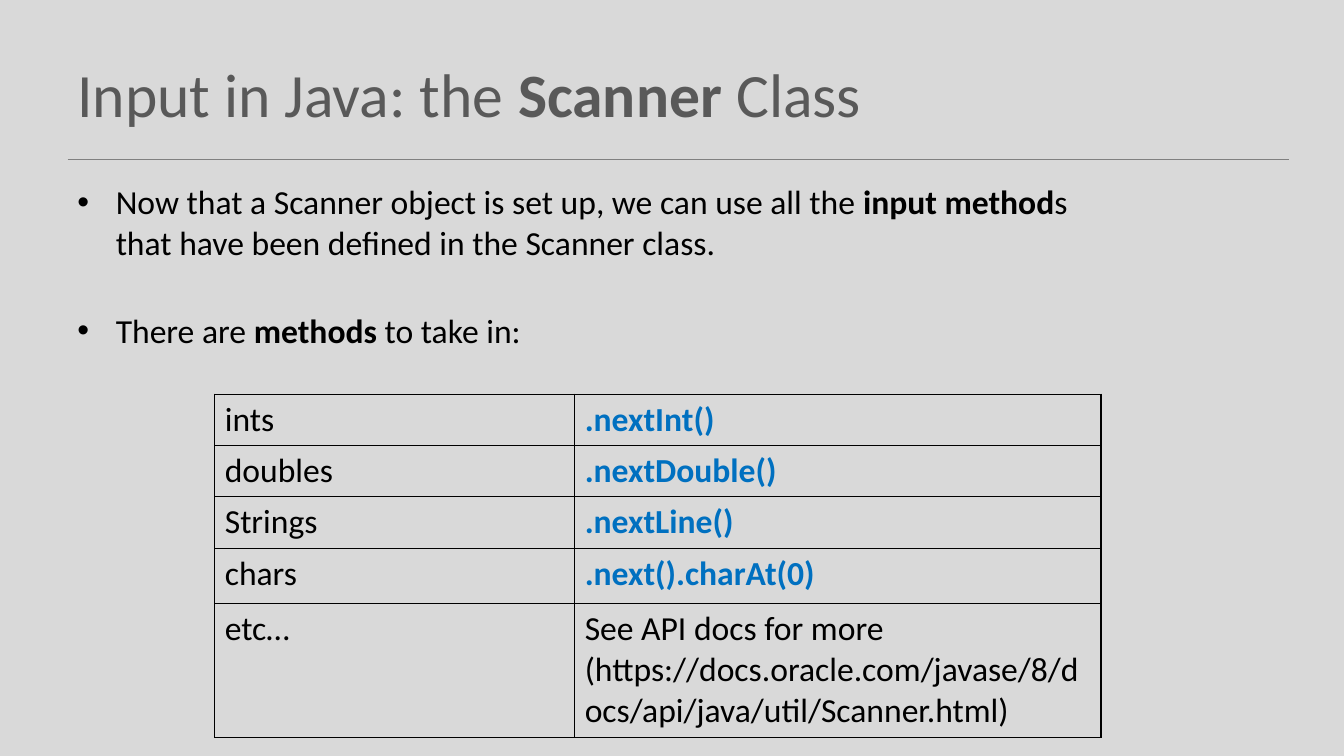
from dataclasses import dataclass

from lxml import etree
from pptx import Presentation
from pptx.dml.color import RGBColor
from pptx.enum.shapes import MSO_CONNECTOR
from pptx.enum.text import MSO_ANCHOR
from pptx.oxml.ns import qn
from pptx.util import Inches, Pt

STRAIGHT = MSO_CONNECTOR.STRAIGHT
TOP, MIDDLE = MSO_ANCHOR.TOP, MSO_ANCHOR.MIDDLE

# Each run is (text, bold)
TITLE = [("Input in Java: the ", False), ("Scanner ", True), ("Class", False)]
BULLETS = [
    [("Now that a Scanner object is set up, we can use all the ", False),
     ("input method", True),
     ("s \vthat have been defined in the Scanner class.", False)],
    [("There are ", False), ("methods", True), (" to take in:", False)],
]
METHODS = [
    ("ints", ".nextInt()"),
    ("doubles", ".nextDouble()"),
    ("Strings", ".nextLine()"),
    ("chars", ".next().charAt(0)"),
]
MORE = ("etc…", "See API docs for more "
        "(https://docs.oracle.com/javase/8/docs/api/java/util/Scanner.html)")


@dataclass(frozen=True)
class Theme:
    font: str = "Calibri"
    background: str = "D9D9D9"
    rule: str = "808080"
    title: str = "595959"
    text: str = "000000"
    method: str = "0070C0"
    title_size: int = 44
    body_size: int = 24
    line_width: int = 1


THEME = Theme()

SLIDE_WIDTH, SLIDE_HEIGHT = 13.33, 7.5
MARGIN = 0.67
RULE_END, RULE_TOP = 12.78, 1.58
TITLE_BOX = (MARGIN, 0.3, 12, 1.25)
BODY_BOX = (MARGIN, 1.75, 10.5, 2)
BULLET_INDENT = 0.38
BULLET_GAP = 34
TABLE_LEFT, TABLE_TOP = 2.13, 3.91
COLUMN_WIDTHS = (3.57, 5.22)
ROW_HEIGHTS = (0.51, 0.51, 0.51, 0.55, 1.33)


def write_runs(paragraph, runs, size=THEME.body_size, color=THEME.text):
    for text, bold in runs:
        for index, line in enumerate(text.split("\v")):
            if index:
                paragraph.add_line_break()
            run = paragraph.add_run()
            run.text = line
            run.font.name = THEME.font
            run.font.size = Pt(size)
            run.font.bold = bold
            run.font.color.rgb = RGBColor.from_string(color)


def add_bullet(paragraph):
    properties = paragraph._p.get_or_add_pPr()
    indent = Inches(BULLET_INDENT)
    properties.set("marL", str(indent))
    properties.set("indent", str(-indent))
    etree.SubElement(properties, qn("a:buFont"), typeface="Arial")
    etree.SubElement(properties, qn("a:buChar"), char="•")


def add_text(slide, paragraphs, box, anchor=TOP, bulleted=False, gap=0, **font):
    frame = slide.shapes.add_textbox(*map(Inches, box)).text_frame
    frame.word_wrap = True
    frame.vertical_anchor = anchor
    for index, runs in enumerate(paragraphs):
        paragraph = frame.add_paragraph() if index else frame.paragraphs[0]
        if bulleted:
            add_bullet(paragraph)
        if index:
            paragraph.space_before = Pt(gap)
        write_runs(paragraph, runs, **font)


def add_rule(slide):
    ends = (MARGIN, RULE_TOP, RULE_END, RULE_TOP)
    rule = slide.shapes.add_connector(STRAIGHT, *map(Inches, ends))
    rule.line.color.rgb = RGBColor.from_string(THEME.rule)
    rule.line.width = Pt(THEME.line_width)
    etree.SubElement(rule._element.spPr, qn("a:effectLst"))


def outline_cell(cell):
    properties = cell._tc.get_or_add_tcPr()
    for side in ("lnL", "lnR", "lnT", "lnB"):
        border = etree.SubElement(properties, qn(f"a:{side}"),
                                  w=str(Pt(THEME.line_width)))
        fill = etree.SubElement(border, qn("a:solidFill"))
        etree.SubElement(fill, qn("a:srgbClr"), val=THEME.text)
    cell.fill.background()


def add_method_table(slide):
    rows = METHODS + [MORE]
    frame = slide.shapes.add_table(
        len(rows), len(COLUMN_WIDTHS), Inches(TABLE_LEFT), Inches(TABLE_TOP),
        Inches(sum(COLUMN_WIDTHS)), Inches(sum(ROW_HEIGHTS)))
    table = frame.table
    table.first_row = table.horz_banding = False
    for column, width in zip(table.columns, COLUMN_WIDTHS):
        column.width = Inches(width)
    for row, height, texts in zip(table.rows, ROW_HEIGHTS, rows):
        row.height = Inches(height)
        for index, (cell, text) in enumerate(zip(row.cells, texts)):
            is_method = index == 1 and texts is not MORE
            outline_cell(cell)
            write_runs(cell.text_frame.paragraphs[0], [(text, is_method)],
                       color=THEME.method if is_method else THEME.text)


def main():
    presentation = Presentation()
    presentation.slide_width = Inches(SLIDE_WIDTH)
    presentation.slide_height = Inches(SLIDE_HEIGHT)
    slide = presentation.slides.add_slide(presentation.slide_layouts[6])
    slide.background.fill.solid()
    slide.background.fill.fore_color.rgb = RGBColor.from_string(THEME.background)

    add_rule(slide)
    add_text(slide, [TITLE], TITLE_BOX, anchor=MIDDLE,
             size=THEME.title_size, color=THEME.title)
    add_text(slide, BULLETS, BODY_BOX, bulleted=True, gap=BULLET_GAP)
    add_method_table(slide)
    presentation.save("out.pptx")


if __name__ == "__main__":
    main()
